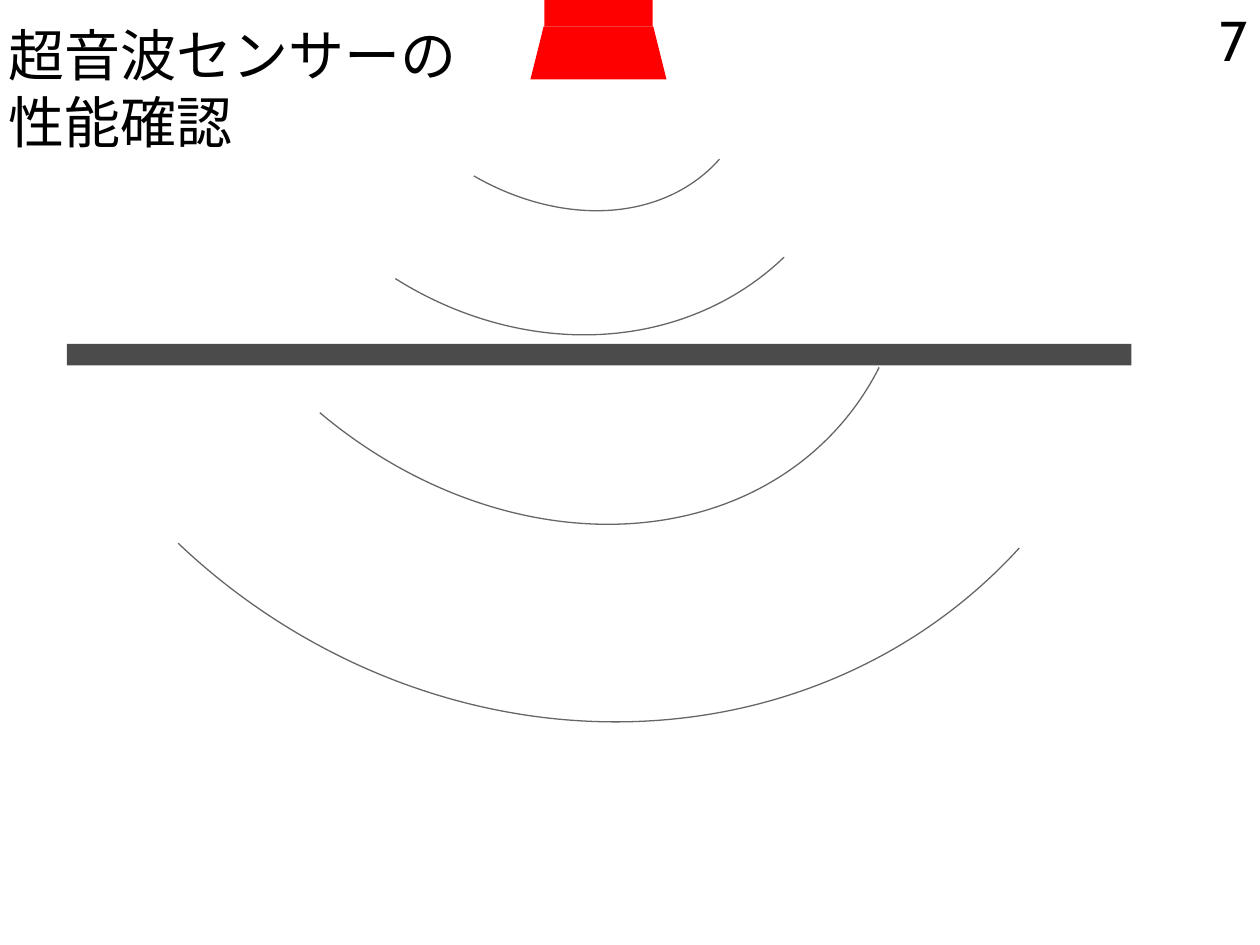
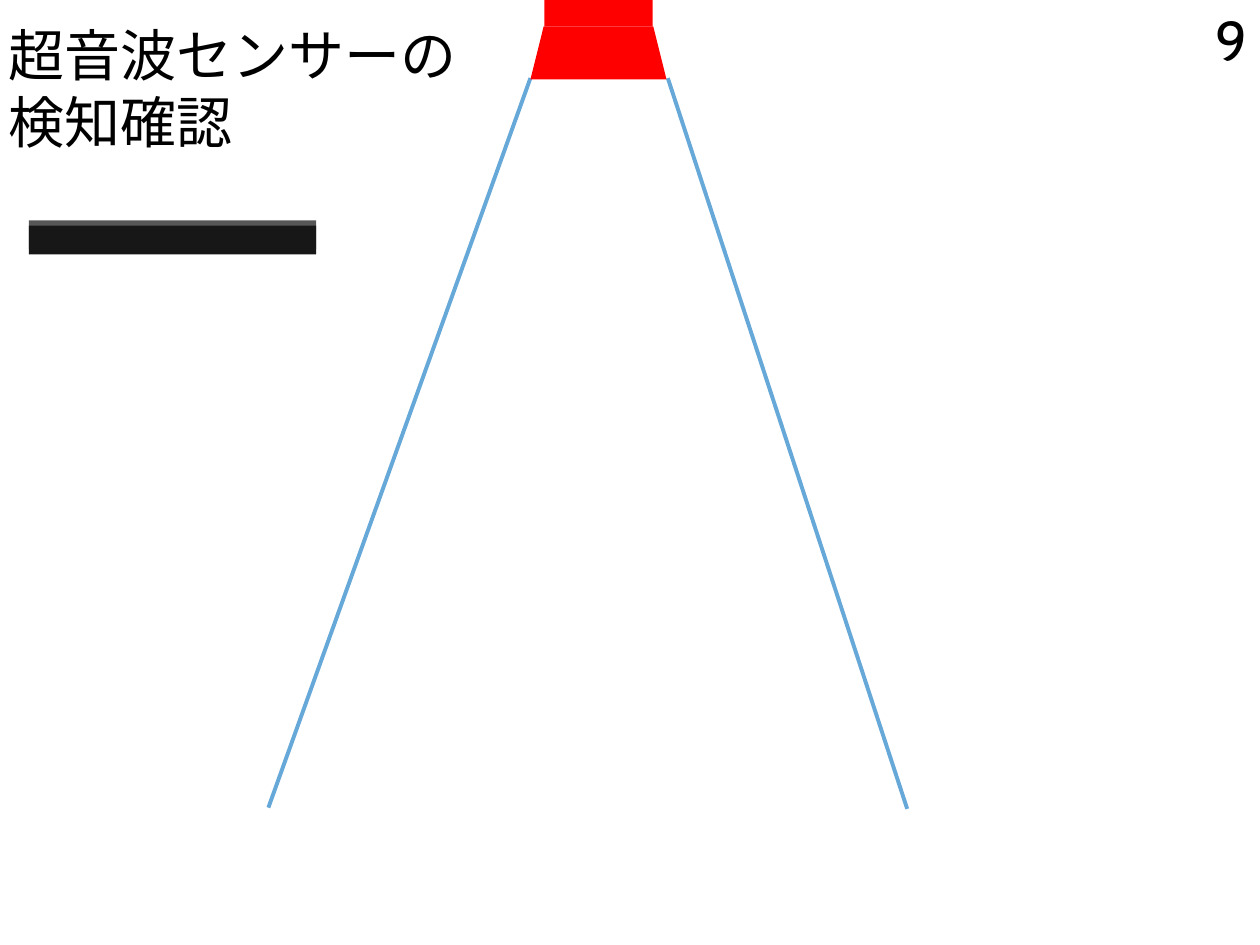
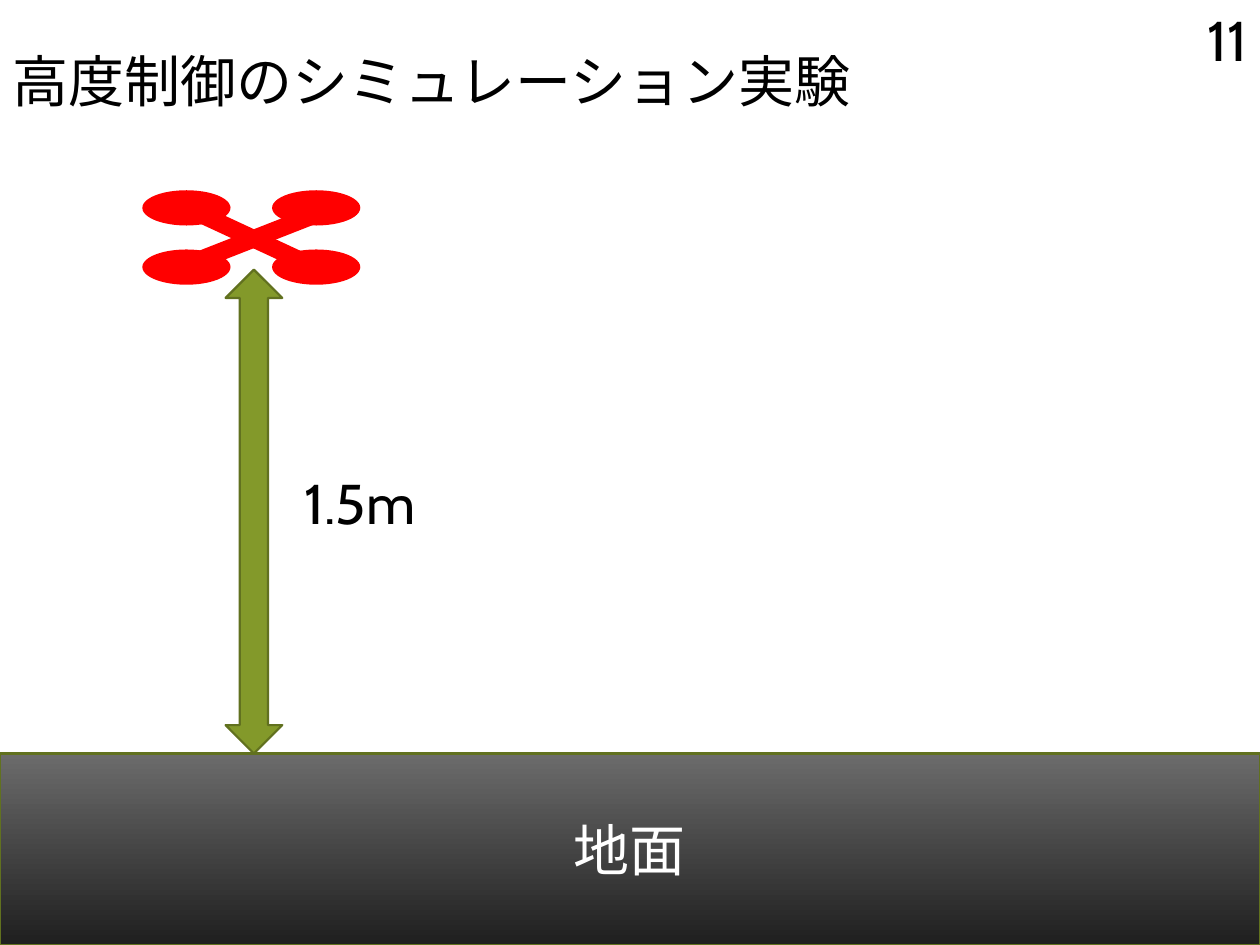
import dataclasses

import lxml.etree
import pptx
import pptx.dml.color
import pptx.enum.lang
import pptx.enum.shapes
import pptx.enum.text
import pptx.oxml.ns
import pptx.util

Pt = pptx.util.Pt
RGB = pptx.dml.color.RGBColor.from_string
SHAPE = pptx.enum.shapes.MSO_SHAPE
ALIGN = pptx.enum.text.PP_ALIGN
ANCHOR = pptx.enum.text.MSO_ANCHOR
FIT = pptx.enum.text.MSO_AUTO_SIZE
qn = pptx.oxml.ns.qn


@dataclasses.dataclass(frozen=True)
class Theme:
    font: str = "Cabin"
    text_size: float = 32
    ink: str = "000000"
    light: str = "FFFFFF"
    device: str = "FF0000"
    beam: str = "0070C0"
    board: str = "4B4B4B"
    obstacle: str = "171717"
    height_arrow: str = "83992A"
    outline: str = "61711F"
    ground_top: str = "6B6B6B"
    ground_bottom: str = "1F1F1F"
    wave_width: float = 0.75
    outline_width: float = 1.25
    beam_width: float = 2.25
    line_opacity: int = 60


class Deck:
    def __init__(self, theme):
        self.theme = theme
        self.presentation = pptx.Presentation()
        self.presentation.slide_width = Pt(720)
        self.presentation.slide_height = Pt(540)
        self.slide = None

    def new_slide(self, title, title_box, number):
        layout = self.presentation.slide_layouts.get_by_name("Title Only")
        self.slide = self.presentation.slides.add_slide(layout)
        heading = self.slide.shapes.title
        heading.left, heading.top, heading.width, heading.height = map(Pt, title_box)
        self.set_text(heading, title, fit=FIT.SHAPE_TO_FIT_TEXT)
        self.label(number, (665.28, 0, 54.72, 44.64), align=ALIGN.RIGHT,
                   anchor=ANCHOR.MIDDLE)

    def set_text(self, holder, text, color=None, align=ALIGN.LEFT, anchor=ANCHOR.TOP,
                 wrap=True, fit=FIT.NONE):
        frame = holder.text_frame
        frame.word_wrap = wrap
        frame.auto_size = fit
        frame.vertical_anchor = anchor
        paragraph = frame.paragraphs[0]
        paragraph.alignment = align
        run = paragraph.add_run()
        run.text = text
        run.font.name = self.theme.font
        run.font.size = Pt(self.theme.text_size)
        run.font.color.rgb = RGB(color or self.theme.ink)
        run.font.language_id = pptx.enum.lang.MSO_LANGUAGE_ID.JAPANESE

    def label(self, text, box, group=None, **style):
        shapes = (group or self.slide).shapes
        self.set_text(shapes.add_textbox(*map(Pt, box)), text, **style)

    def group(self):
        return self.slide.shapes.add_group_shape()

    def shape(self, kind, box, fill=None, outline=None, rotation=0, group=None):
        shapes = (group or self.slide).shapes
        shape = shapes.add_shape(kind, *map(Pt, box))
        shape.shadow.inherit = False
        shape.rotation = rotation
        if fill:
            shape.fill.solid()
            shape.fill.fore_color.rgb = RGB(fill)
        else:
            shape.fill.background()
        if outline:
            shape.line.color.rgb = RGB(outline)
            shape.line.width = Pt(self.theme.outline_width)
        else:
            shape.line.fill.background()
        return shape

    def sheer_line(self, shape, color, width):
        """Give a line its colour and width with the theme's opacity."""
        shape.line.color.rgb = RGB(color)
        shape.line.width = Pt(width)
        swatch = shape._element.spPr.find(qn("a:ln")).find(".//" + qn("a:srgbClr"))
        self.set_alpha(swatch, self.theme.line_opacity)

    def set_alpha(self, swatch, percent):
        lxml.etree.SubElement(swatch, qn("a:alpha")).set("val", str(percent * 1000))

    def wave(self, box, start, end):
        arc = self.shape(SHAPE.ARC, box, rotation=133.2)
        arc.adjustments[0], arc.adjustments[1] = start, end
        self.sheer_line(arc, self.theme.ink, self.theme.wave_width)

    def beam(self, start, end):
        edge = self.slide.shapes.add_connector(
            pptx.enum.shapes.MSO_CONNECTOR.STRAIGHT, *map(Pt, (*start, *end)))
        self.sheer_line(edge, self.theme.beam, self.theme.beam_width)
        lxml.etree.SubElement(edge._element.spPr, qn("a:effectLst"))

    def raised_edge(self, shape):
        """Show a sharp grey edge just above the shape."""
        effects = shape._element.spPr.find(qn("a:effectLst"))
        shadow = lxml.etree.SubElement(effects, qn("a:outerShdw"), blurRad="0",
                                       dist=str(int(Pt(3))), dir="16200000",
                                       rotWithShape="0")
        swatch = lxml.etree.SubElement(shadow, qn("a:srgbClr"), val=self.theme.ink)
        self.set_alpha(swatch, 65)

    def sensor(self):
        sensor = self.group()
        for kind, box in ((SHAPE.RECTANGLE, (311.04, 0, 61.92, 15.12)),
                          (SHAPE.TRAPEZOID, (303.12, 15.12, 77.76, 30.24))):
            self.shape(kind, box, self.theme.device, group=sensor)

    def drone(self):
        drone = self.group()
        for left in (81.36, 155.52):
            for top in (108.72, 142.56):
                self.shape(SHAPE.OVAL, (left, top, 50.4, 20.16),
                           self.theme.device, group=drone)
        for angle in (338.6, 204.9):
            self.shape(SHAPE.RECTANGLE, (107.64, 131.4, 74.88, 10.08),
                       self.theme.device, rotation=angle, group=drone)

    def ground(self, text):
        ground = self.shape(SHAPE.RECTANGLE, (0, 430.56, 720, 109.44),
                            self.theme.ground_top, self.theme.outline)
        ground.fill.gradient()
        ground.fill.gradient_angle = 270
        shades = (self.theme.ground_top, self.theme.ground_bottom)
        for position, (stop, shade) in enumerate(zip(ground.fill.gradient_stops, shades)):
            stop.position = position
            stop.color.rgb = RGB(shade)
        self.set_text(ground, text, self.theme.light, ALIGN.CENTER, ANCHOR.MIDDLE)


def performance_slide(deck):
    deck.new_slide("超音波センサーの性能確認", (-2.16, 7.92, 285.84, 84.96), "7")
    deck.sensor()
    for box, start, end in (
        ((205.92, -134.64, 210.24, 270), 161.36, 203.21),
        ((138.24, -187.92, 345.6, 390.96), 163.38, 207.66),
        ((110.16, -152.64, 386.64, 474.48), 155.42, 213.24),
        ((1.44, -273.6, 645.12, 700.56), 161.56, 0.21),
    ):
        deck.wave(box, start, end)
    deck.shape(SHAPE.RECTANGLE, (38.16, 196.56, 608.4, 12.24), deck.theme.board)


def detection_slide(deck):
    deck.new_slide("超音波センサーの検知確認", (-2.16, 7.92, 288.72, 84.96), "9")
    deck.beam((381.6, 44.64), (518.4, 462.24))
    deck.beam((153.36, 461.52), (303.12, 44.64))
    obstacle = deck.shape(SHAPE.RECTANGLE, (16.56, 128.88, 164.16, 16.56),
                          deck.theme.obstacle)
    deck.raised_edge(obstacle)
    deck.sensor()


def altitude_slide(deck):
    deck.new_slide("高度制御のシミュレーション実験", (0, 23.04, 543.6, 46.08), "11")
    deck.ground("地面")
    deck.drone()
    altitude = deck.group()
    deck.shape(SHAPE.UP_DOWN_ARROW, (128.88, 154.08, 32.4, 276.48),
               deck.theme.height_arrow, deck.theme.outline, group=altitude)
    deck.label("1.5m", (167.04, 264.24, 84.24, 46.08), group=altitude,
               wrap=False, fit=FIT.SHAPE_TO_FIT_TEXT)


def main():
    deck = Deck(Theme())
    performance_slide(deck)
    detection_slide(deck)
    altitude_slide(deck)
    deck.presentation.save("out.pptx")


if __name__ == "__main__":
    main()
